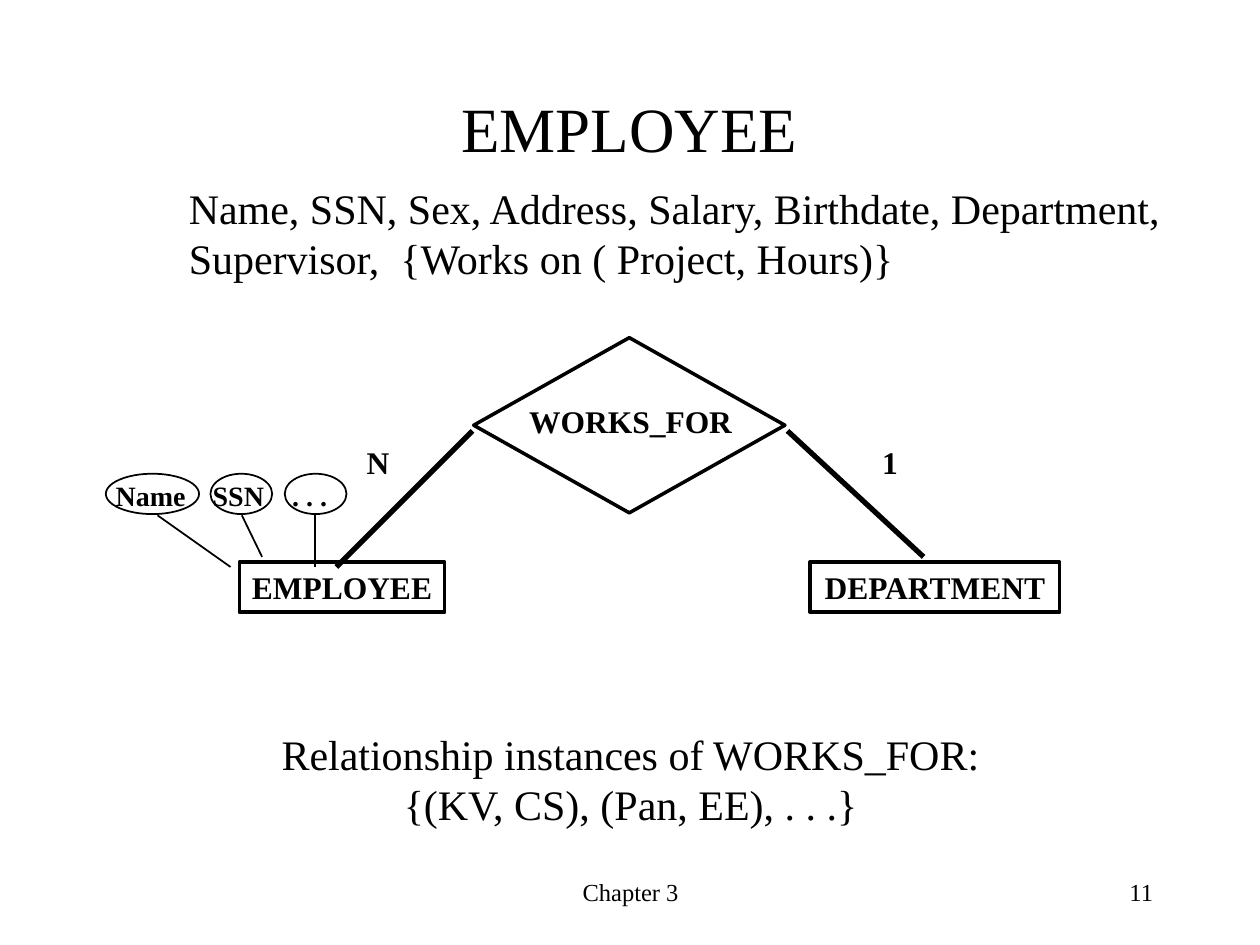
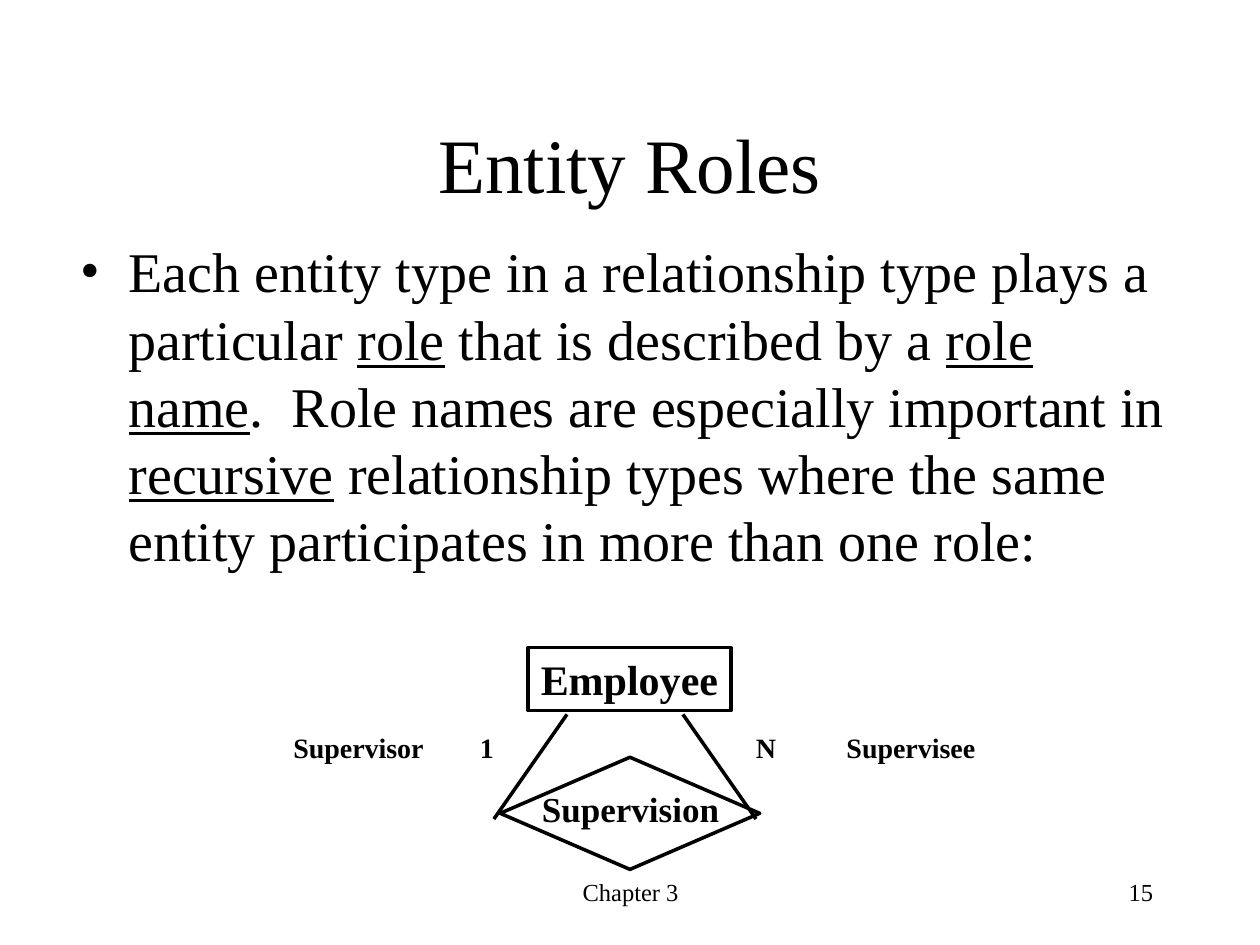
from dataclasses import dataclass

from lxml import etree
from pptx import Presentation
from pptx import util as u
from pptx.dml.color import RGBColor
from pptx.enum import shapes, text
from pptx.oxml import ns

Inches, Pt = u.Inches, u.Pt
LEFT, CENTER, RIGHT = text.PP_ALIGN.LEFT, text.PP_ALIGN.CENTER, text.PP_ALIGN.RIGHT
RECT, DIAMOND, OVAL = (shapes.MSO_SHAPE.RECTANGLE, shapes.MSO_SHAPE.DIAMOND,
                       shapes.MSO_SHAPE.OVAL)


@dataclass(frozen=True)
class Theme:
    font: str = "Times New Roman"
    ink: RGBColor = RGBColor(0, 0, 0)
    title: int = 44
    entity_title: int = 36
    body: int = 32
    plain: int = 24
    role: int = 20
    entity: int = 18
    small: int = 16
    footer: int = 14
    thin: int = 1
    medium: int = 2
    thick: int = 3


THEME = Theme()

# Content shared by the slides
CHAPTER = "Chapter 3"
CHAPTER_BOX = (3.42, 6.83, 3.17, 0.5)
NUMBER_BOX = (7.17, 6.83, 2.08, 0.5)

# Content: the WORKS_FOR relationship
EMPLOYEE_TITLE = ("EMPLOYEE", (3.56, 0.66, 2.87, 0.7))
EMPLOYEE_ATTRIBUTES = ["Name, SSN, Sex, Address, Salary, Birthdate, Department,",
                       "Supervisor,  {Works on ( Project, Hours)}"]
INSTANCES = ["Relationship instances of WORKS_FOR:", "{(KV, CS), (Pan, EE), . . .}"]
WORKS_FOR_DIAMOND = (3.76, 2.68, 2.47, 1.39)
WORKS_FOR_LABELS = [  # words, box
    ("WORKS_FOR", (4.1, 3.14, 1.81, 0.4)),
    ("1", (6.9, 3.47, 0.33, 0.4)),
    ("N", (2.81, 3.47, 0.38, 0.4)),
]
ENTITIES = [("EMPLOYEE", (1.9, 4.46, 1.63, 0.4)),
            ("DEPARTMENT", (6.43, 4.46, 1.98, 0.4))]
WORKS_FOR_LINKS = [((3.75, 3.42), (2.67, 4.5)), ((6.25, 3.42), (7.33, 4.42))]
ATTRIBUTE_NAMES = "Name\tSSN\t. . ."
ATTRIBUTE_TABS = (0.77, 1.4)
ATTRIBUTE_OVALS = [(0.84, 0.74), (1.67, 0.49), (2.26, 0.49)]  # left, width
ATTRIBUTE_LINKS = [((1.25, 4.09), (1.83, 4.5)), ((1.92, 4.09), (2.08, 4.42)),
                   ((2.5, 4.09), (2.5, 4.5))]

# Content: the Supervision relationship
ROLES_TITLE = ("Entity Roles", (0.75, 0.67, 8.5, 1.25))
ROLES_TEXT = [  # words, underlined
    ("Each entity type in a relationship type plays a particular ", False),
    ("role", True),
    (" that is described by a ", False),
    ("role name", True),
    (".  Role names are especially important in ", False),
    ("recursive", True),
    (" relationship types where the same entity participates in more than one role:",
     False),
]
SUPERVISION_DIAMOND = (3.97, 6.01, 2.06, 0.89)
SUPERVISION_LINKS = [((3.92, 6.5), (4.5, 5.67)), ((6, 6.5), (5.42, 5.67))]
ROLE_LABELS = [  # words, box, tab stops
    ("Supervisor\t1", (2.23, 5.75, 2, 0.37), (1.48,)),
    ("N\tSupervisee", (5.9, 5.75, 2.1, 0.37), (0.72,)),
]


# Text helpers
def inches(box):
    return [Inches(value) for value in box]


def add_run(paragraph, words, size, bold=False, underline=False):
    run = paragraph.add_run()
    run.text = words
    font = run.font
    font.name, font.size, font.bold = THEME.font, Pt(size), bold
    font.underline = underline
    font.color.rgb = THEME.ink


def add_tabs(paragraph, stops):
    tab_list = etree.SubElement(paragraph._p.get_or_add_pPr(), ns.qn("a:tabLst"))
    for stop in stops:
        etree.SubElement(tab_list, ns.qn("a:tab"), pos=str(Inches(stop)), algn="l")


def write_lines(frame, lines, size, align=LEFT, bold=False, tabs=(),
                anchor=text.MSO_ANCHOR.TOP):
    frame.word_wrap = bool(tabs)
    frame.auto_size = text.MSO_AUTO_SIZE.NONE
    frame.vertical_anchor = anchor
    for index, line in enumerate(lines):
        paragraph = frame.add_paragraph() if index else frame.paragraphs[0]
        paragraph.alignment = align
        if tabs:
            add_tabs(paragraph, tabs)
        add_run(paragraph, line, size, bold)


def add_label(slide, lines, box, size, **style):
    label = slide.shapes.add_textbox(*inches(box))
    write_lines(label.text_frame, lines, size, **style)


# Diagram helpers
def add_outline(slide, preset, box, weight):
    outline = slide.shapes.add_shape(preset, *inches(box))
    outline.shadow.inherit = False
    outline.fill.background()
    outline.line.color.rgb = THEME.ink
    outline.line.width = Pt(weight)
    return outline


def add_entity(slide, name, box, size):
    entity = add_outline(slide, RECT, box, THEME.medium)
    write_lines(entity.text_frame, [name], size, align=CENTER, bold=True)


def add_links(slide, links, weight):
    for start, end in links:
        link = slide.shapes.add_connector(shapes.MSO_CONNECTOR.STRAIGHT,
                                          *inches(start + end))
        link.line.color.rgb = THEME.ink
        link.line.width = Pt(weight)
        etree.SubElement(link._element.spPr, ns.qn("a:effectLst"))


# Shared slide frame: title and footer
def move(placeholder, box):
    (placeholder.left, placeholder.top,
     placeholder.width, placeholder.height) = inches(box)


def start_slide(deck, layout, title, size, anchor, number):
    slide = deck.slides.add_slide(deck.slide_layouts[layout])
    words, box = title
    move(slide.shapes.title, box)
    write_lines(slide.shapes.title.text_frame, [words], size, align=CENTER,
                anchor=anchor)
    for note, place, align in ((CHAPTER, CHAPTER_BOX, CENTER),
                               (str(number), NUMBER_BOX, RIGHT)):
        add_label(slide, [note], place, THEME.footer, align=align,
                  anchor=text.MSO_ANCHOR.MIDDLE)
    return slide


def build_works_for(deck):
    slide = start_slide(deck, 5, EMPLOYEE_TITLE, THEME.entity_title,
                        text.MSO_ANCHOR.TOP, 11)
    add_label(slide, EMPLOYEE_ATTRIBUTES, (1.4, 1.4, 8.03, 0.9), THEME.plain)

    # Relationship and its two entities
    add_outline(slide, DIAMOND, WORKS_FOR_DIAMOND, THEME.medium)
    for words, box in WORKS_FOR_LABELS:
        add_label(slide, [words], box, THEME.entity, align=CENTER, bold=True)
    for name, box in ENTITIES:
        add_entity(slide, name, box, THEME.entity)
    add_links(slide, WORKS_FOR_LINKS, THEME.thick)

    # Attributes of EMPLOYEE
    add_label(slide, [ATTRIBUTE_NAMES], (0.82, 3.75, 2.1, 0.37), THEME.small,
              bold=True, tabs=ATTRIBUTE_TABS)
    for left, width in ATTRIBUTE_OVALS:
        add_outline(slide, OVAL, (left, 3.76, width, 0.32), THEME.thin)
    add_links(slide, ATTRIBUTE_LINKS, THEME.thin)

    add_label(slide, INSTANCES, (2.13, 5.73, 5.75, 0.9), THEME.plain, align=CENTER)


def build_entity_roles(deck):
    slide = start_slide(deck, 1, ROLES_TITLE, THEME.title,
                        text.MSO_ANCHOR.MIDDLE, 15)

    # Bulleted explanation
    body = slide.placeholders[1]
    move(body, (0.54, 1.83, 8.92, 4.5))
    body.text_frame.auto_size = text.MSO_AUTO_SIZE.NONE
    explanation = body.text_frame.paragraphs[0]
    explanation.space_before = Pt(8)
    properties = explanation._p.get_or_add_pPr()
    properties.set("marL", str(Inches(0.38)))
    properties.set("indent", str(-Inches(0.38)))
    etree.SubElement(properties, ns.qn("a:buFont"), typeface=THEME.font)
    etree.SubElement(properties, ns.qn("a:buChar"), char="•")
    for words, underlined in ROLES_TEXT:
        add_run(explanation, words, THEME.body, underline=underlined)

    # Recursive relationship
    add_entity(slide, "Employee", (4.19, 5.14, 1.61, 0.5), THEME.plain)
    add_label(slide, ["Supervision"], (4.2, 6.2, 1.61, 0.43), THEME.role,
              align=CENTER, bold=True)
    add_outline(slide, DIAMOND, SUPERVISION_DIAMOND, THEME.medium)
    add_links(slide, SUPERVISION_LINKS, THEME.medium)
    for words, box, tabs in ROLE_LABELS:
        add_label(slide, [words], box, THEME.small, bold=True, tabs=tabs)


def main():
    deck = Presentation()
    deck.slide_width, deck.slide_height = Inches(10), Inches(7.5)
    build_works_for(deck)
    build_entity_roles(deck)
    deck.save("out.pptx")


if __name__ == "__main__":
    main()
